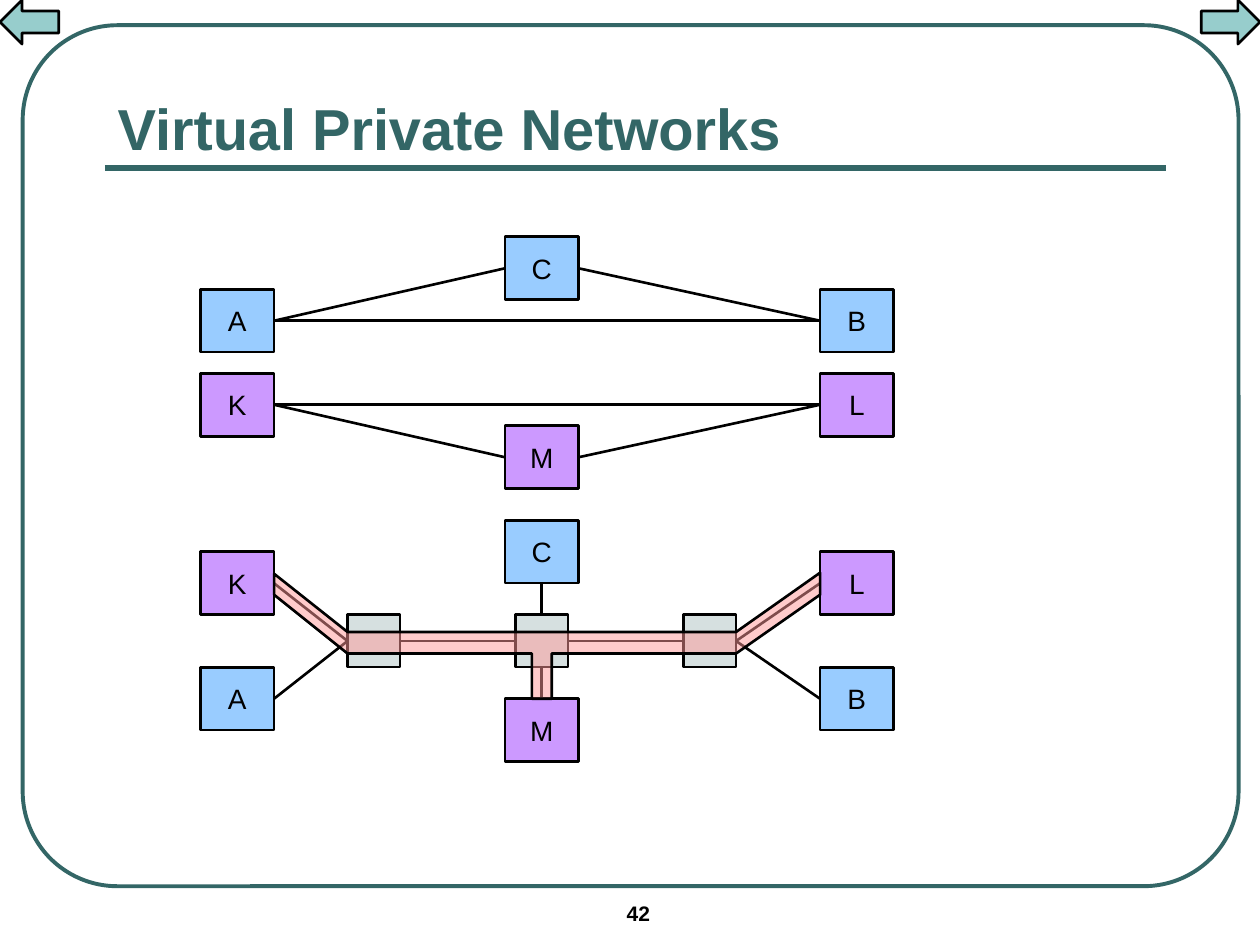
from dataclasses import dataclass

from lxml import etree
from pptx import Presentation
from pptx.dml.color import RGBColor
from pptx.enum.shapes import MSO_CONNECTOR, MSO_SHAPE
from pptx.enum.text import MSO_ANCHOR, MSO_AUTO_SIZE, PP_ALIGN
from pptx.oxml.ns import qn
from pptx.util import Inches, Pt

RECT = MSO_SHAPE.RECTANGLE
ROUND = MSO_SHAPE.ROUNDED_RECTANGLE
NEXT = MSO_SHAPE.RIGHT_ARROW
BACK = MSO_SHAPE.LEFT_ARROW
STRAIGHT = MSO_CONNECTOR.STRAIGHT
UPPER = MSO_ANCHOR.TOP
MIDDLE = MSO_ANCHOR.MIDDLE
BOTTOM = MSO_ANCHOR.BOTTOM
CENTER = PP_ALIGN.CENTER
LEFT = PP_ALIGN.LEFT
NO_FIT = MSO_AUTO_SIZE.NONE
TOP_SIDE, LEFT_SIDE, LOW_SIDE, RIGHT_SIDE = range(4)


@dataclass(frozen=True)
class Theme:
    font: str = "Arial"
    ink: str = "000000"
    teal: str = "336666"
    mint: str = "97CDCC"
    blue: str = "99CCFF"
    plum: str = "CC99FF"
    gray: str = "D6E0E0"
    rose: str = "FF9999"
    title: int = 33
    label: int = 16
    page: int = 12
    thin: float = 1.5
    frame: float = 2.25
    rule: float = 3


THEME = Theme()
CELL = Inches(1) / 12
DRIFT_X, DRIFT_Y = 0.1, 0.55
WEST, MID, EAST = 19, 48, 78
BOX_W, BOX_H, HUB = 7, 6, 5


def span(*cells):
    return [round(cell * CELL) for cell in cells]


def shift(col, row):
    return col + DRIFT_X, row + DRIFT_Y


def paint(shape, fill, line=THEME.ink, width=THEME.thin):
    shape.shadow.inherit = False
    if fill:
        shape.fill.solid()
        shape.fill.fore_color.rgb = RGBColor.from_string(fill)
    else:
        shape.fill.background()
    shape.line.color.rgb = RGBColor.from_string(line)
    shape.line.width = Pt(width)


def write(shape, words, size, color=THEME.ink, bold=False, align=LEFT,
          anchor=UPPER, wrap=True):
    frame = shape.text_frame
    frame.auto_size = NO_FIT
    frame.word_wrap = wrap
    frame.vertical_anchor = anchor
    frame.text = words
    para = frame.paragraphs[0]
    para.alignment = align
    font = para.runs[0].font
    font.name = THEME.font
    font.size = Pt(size)
    font.bold = bold
    font.color.rgb = RGBColor.from_string(color)


def block(slide, kind, cells, fill, **edge):
    shape = slide.shapes.add_shape(kind, *span(*cells))
    paint(shape, fill, **edge)
    return shape


def node(slide, name, col, row, fill):
    box = block(slide, RECT, (*shift(col, row), BOX_W, BOX_H), fill)
    write(box, name, THEME.label, align=CENTER, anchor=MIDDLE, wrap=False)
    return box


def wire(slide, ends, color=THEME.ink, width=THEME.thin):
    line = slide.shapes.add_connector(STRAIGHT, *span(*ends))
    line.line.color.rgb = RGBColor.from_string(color)
    line.line.width = Pt(width)
    etree.SubElement(line._element.spPr, qn("a:effectLst"))
    return line


def join(slide, start, side, end, other):
    line = wire(slide, (0, 0, 0, 0))
    line.begin_connect(start, side)
    line.end_connect(end, other)


def draw_frame(slide):
    edge = block(slide, ROUND, (2.16, 2.4, 115.8, 82), None,
                 line=THEME.teal, width=THEME.frame)
    edge.adjustments[0] = 0.11
    wire(slide, (10, 16, 111, 16), THEME.teal, THEME.rule)
    block(slide, NEXT, (114.4, 0, 5.6, 4.2), THEME.mint)
    block(slide, BACK, (0, 0, 5.6, 4.2), THEME.mint)
    page = slide.shapes.add_textbox(*span(58.5, 85.2, 14, 4))
    write(page, "42", THEME.page, bold=True)


def draw_title(slide):
    title = slide.shapes.title
    title.left, title.top, title.width, title.height = span(10, 7, 101, 9)
    write(title, "Virtual Private Networks", THEME.title, THEME.teal,
          bold=True, anchor=BOTTOM)


def draw_mesh(slide, names, fill, row, peak):
    spots = ((WEST, row), (MID, peak), (EAST, row))
    west, mid, east = [node(slide, name, col, top, fill)
                       for name, (col, top) in zip(names, spots)]
    for start, end in ((west, mid), (mid, east), (west, east)):
        join(slide, start, RIGHT_SIDE, end, LEFT_SIDE)


def draw_shared(slide):
    hubs = [block(slide, RECT, (*shift(col, 58), HUB, HUB), THEME.gray)
            for col in (33, 49, 65)]
    for start, end in zip(hubs, hubs[1:]):
        join(slide, start, RIGHT_SIDE, end, LEFT_SIDE)
    for names, fill, row, peak, side in (
            ("ACB", THEME.blue, 63, 49, TOP_SIDE),
            ("KML", THEME.plum, 52, 66, LOW_SIDE)):
        west = node(slide, names[0], WEST, row, fill)
        mid = node(slide, names[1], MID, peak, fill)
        east = node(slide, names[2], EAST, row, fill)
        join(slide, west, RIGHT_SIDE, hubs[0], LEFT_SIDE)
        join(slide, hubs[1], side, mid, LOW_SIDE - side)
        join(slide, hubs[2], RIGHT_SIDE, east, LEFT_SIDE)


def draw_tunnel(slide):
    spots = ((26, 56.1), (33, 61.7), (50.55, 61.7), (50.55, 66),
             (52.45, 66), (52.45, 61.7), (70, 61.7), (78, 56.1),
             (78, 54), (70, 59.65), (33, 59.65), (26, 54.1))
    points = [span(*shift(*spot)) for spot in spots]
    path = slide.shapes.build_freeform(*points[0], scale=1.0)
    path.add_line_segments(points[1:], close=True)
    tunnel = path.convert_to_shape()
    paint(tunnel, THEME.rose)
    color = tunnel._element.spPr.find(qn("a:solidFill")).find(qn("a:srgbClr"))
    etree.SubElement(color, qn("a:alpha"), val="50000")


def main():
    deck = Presentation()
    deck.slide_width, deck.slide_height = span(120, 90)
    slide = deck.slides.add_slide(deck.slide_layouts[5])
    draw_frame(slide)
    draw_title(slide)
    draw_mesh(slide, "ACB", THEME.blue, 27, 22)
    draw_mesh(slide, "KML", THEME.plum, 35, 40)
    draw_shared(slide)
    draw_tunnel(slide)
    deck.save("out.pptx")


if __name__ == "__main__":
    main()
